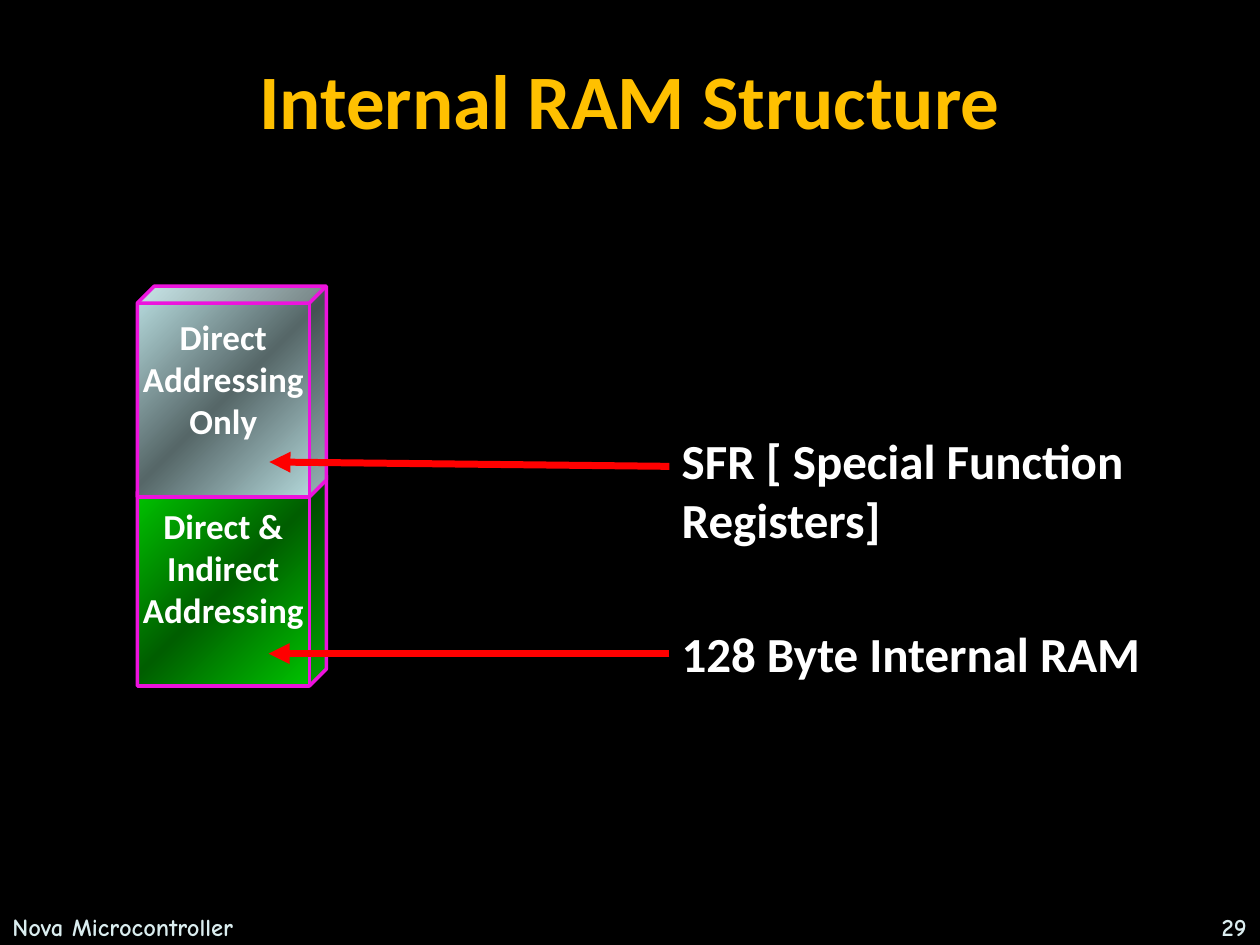
from copy import deepcopy
from dataclasses import dataclass

from pptx import Presentation
from pptx.dml.color import RGBColor
from pptx.enum.shapes import MSO_CONNECTOR, MSO_SHAPE
from pptx.enum.text import MSO_ANCHOR, PP_ALIGN
from pptx.oxml.ns import qn
from pptx.oxml.xmlchemy import OxmlElement
from pptx.slide import Slide
from pptx.text.text import TextFrame
from pptx.util import Pt


@dataclass(frozen=True)
class Theme:
    background: str = "000000"
    title: str = "FFC000"
    text: str = "FFFFFF"
    footer: str = "DAEDEF"
    outline: str = "ED13DD"
    arrow: str = "FF0000"
    sfr: tuple[str, str] = ("BBE0E3", "566768")
    ram: tuple[str, str] = ("00CC00", "005E00")
    body_font: str = "Calibri"
    footer_font: str = "Comic Neue"
    title_size: float = 44
    label_size: float = 28
    block_size: float = 20
    footer_size: float = 14


THEME = Theme()


@dataclass(frozen=True)
class Label:
    text: str
    area: tuple[float, float, float, float]
    size: float
    color: str = THEME.text
    font: str = THEME.body_font
    align: PP_ALIGN = PP_ALIGN.LEFT
    anchor: MSO_ANCHOR = MSO_ANCHOR.TOP


@dataclass(frozen=True)
class MemoryBlock:
    lines: tuple[str, ...]
    top: float
    colors: tuple[str, str]


@dataclass(frozen=True)
class Arrow:
    start: tuple[float, float]
    end: tuple[float, float]


BLOCK_LEFT, BLOCK_WIDTH, BLOCK_HEIGHT = 78.5, 108, 120.5
BLOCK_TOP, BLOCK_STEP = 163.5, 108

BLOCKS = [
    MemoryBlock(("Direct &", "Indirect", "Addressing"), BLOCK_TOP + BLOCK_STEP, THEME.ram),
    MemoryBlock(("Direct", "Addressing", "Only"), BLOCK_TOP, THEME.sfr),
]
ARROWS = [
    Arrow((382.5, 266.5), (154, 264)),
    Arrow((382.5, 373.5), (153.5, 373.5)),
]
LABELS = [
    Label("Internal RAM Structure", (0, 11.5, 720, 90), THEME.title_size, THEME.title,
          align=PP_ALIGN.CENTER, anchor=MSO_ANCHOR.MIDDLE),
    Label("SFR [ Special Function Registers]", (382.5, 242.5, 337.5, 75), THEME.label_size),
    Label("128 Byte Internal RAM", (372, 353, 297, 41), THEME.label_size,
          align=PP_ALIGN.CENTER),
    Label("Nova Microcontroller", (0, 517.5, 168, 37.5), THEME.footer_size,
          THEME.footer, THEME.footer_font),
    Label("29", (551.5, 517.5, 168, 37.5), THEME.footer_size, THEME.footer,
          THEME.footer_font, PP_ALIGN.RIGHT),
]


def apply(target: object, values: dict) -> None:
    for name, value in values.items():
        setattr(target, name, value)


def write(frame: TextFrame, lines: tuple[str, ...], size: float, color: str,
          font: str, align: PP_ALIGN) -> None:
    for index, line in enumerate(lines):
        para = frame.paragraphs[0] if index == 0 else frame.add_paragraph()
        para.alignment = align
        span = para.add_run()
        span.text = line
        apply(span.font, {"name": font, "size": Pt(size), "bold": True})
        span.font.color.rgb = RGBColor.from_string(color)


def draw_label(page: Slide, label: Label) -> None:
    box = page.shapes.add_textbox(*map(Pt, label.area))
    apply(box.text_frame, {"word_wrap": True, "vertical_anchor": label.anchor})
    write(box.text_frame, (label.text,), label.size, label.color, label.font, label.align)


def draw_block(page: Slide, block: MemoryBlock) -> None:
    cube = page.shapes.add_shape(MSO_SHAPE.CUBE, Pt(BLOCK_LEFT), Pt(block.top),
                                 Pt(BLOCK_WIDTH), Pt(BLOCK_HEIGHT))
    cube.adjustments[0] = 0.09
    cube.shadow.inherit = False
    cube.line.color.rgb = RGBColor.from_string(THEME.outline)
    cube.line.width = Pt(2)

    edge, middle = block.colors
    cube.fill.gradient()
    cube.fill.gradient_angle = 315
    stops = cube.fill.gradient_stops
    for stop, position in zip(stops, (0, 1)):
        stop.position = position
        stop.color.rgb = RGBColor.from_string(edge)
    stop_list = cube.fill._fill._gradFill.find(qn("a:gsLst"))
    stop_list.insert(1, deepcopy(stop_list[0]))
    center = cube.fill.gradient_stops[1]
    center.position = 0.5
    center.color.rgb = RGBColor.from_string(middle)

    apply(cube.text_frame, {
        "word_wrap": False,
        "vertical_anchor": MSO_ANCHOR.MIDDLE,
        "margin_bottom": Pt(28),
    })
    write(cube.text_frame, block.lines, THEME.block_size, THEME.text,
          THEME.body_font, PP_ALIGN.CENTER)


def draw_arrow(page: Slide, arrow: Arrow) -> None:
    connector = page.shapes.add_connector(MSO_CONNECTOR.STRAIGHT,
                                          *map(Pt, arrow.start + arrow.end))
    connector.line.color.rgb = RGBColor.from_string(THEME.arrow)
    connector.line.width = Pt(4)
    head = OxmlElement("a:tailEnd")
    head.set("type", "triangle")
    connector.line._get_or_add_ln().append(head)
    connector._element.spPr.append(OxmlElement("a:effectLst"))


def main() -> None:
    deck = Presentation()
    apply(deck, {"slide_width": Pt(720), "slide_height": Pt(540)})
    page = deck.slides.add_slide(deck.slide_layouts[6])
    page.background.fill.solid()
    page.background.fill.fore_color.rgb = RGBColor.from_string(THEME.background)
    for block in BLOCKS:
        draw_block(page, block)
    for arrow in ARROWS:
        draw_arrow(page, arrow)
    for label in LABELS:
        draw_label(page, label)
    deck.save("out.pptx")


if __name__ == "__main__":
    main()
